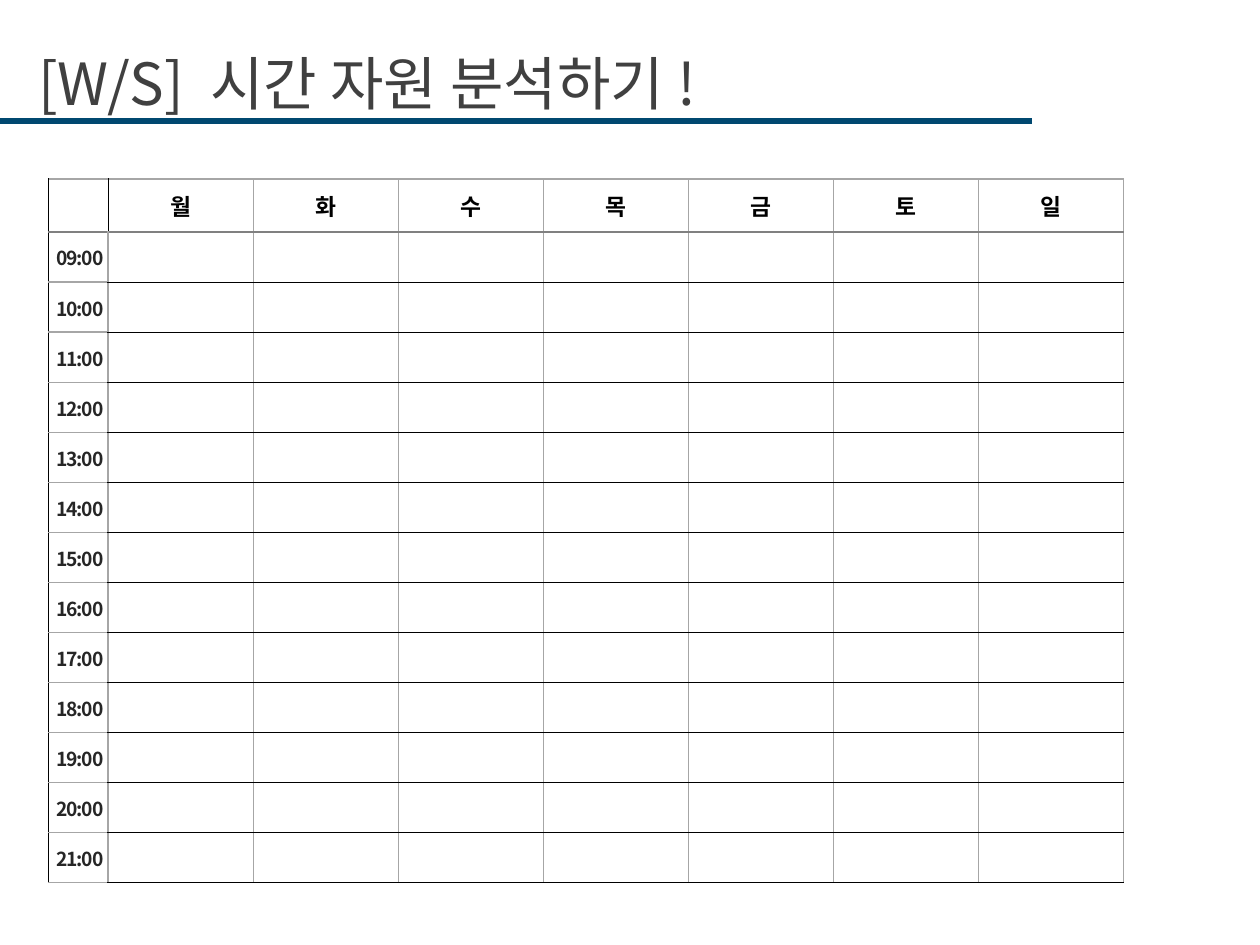
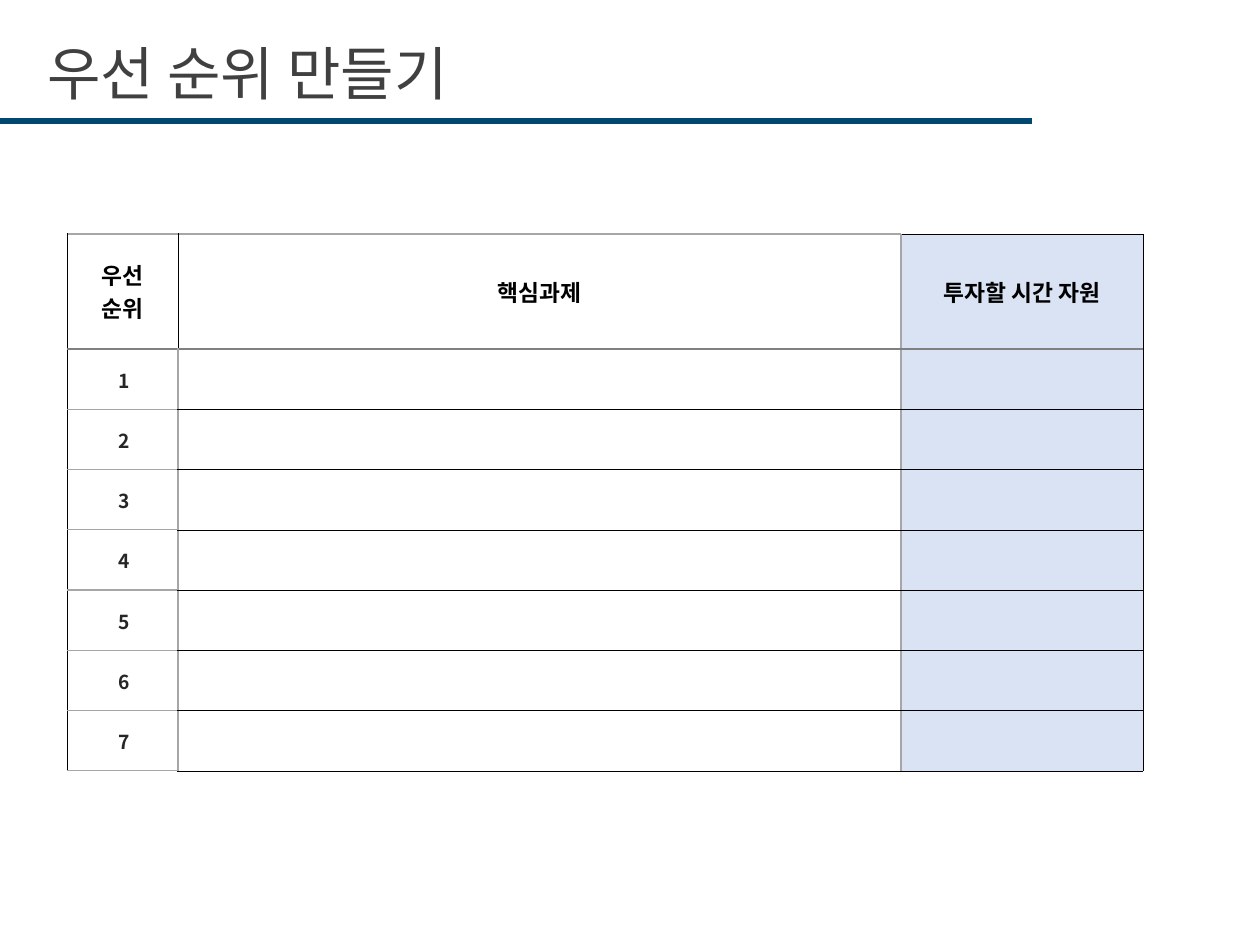
"""Build two time-management worksheets: a weekly timetable and a priority list."""
from lxml import etree
from pptx import Presentation
from pptx.dml.color import RGBColor
from pptx.enum.shapes import MSO_CONNECTOR
from pptx.enum.text import MSO_ANCHOR, PP_ALIGN
from pptx.oxml.ns import qn
from pptx.util import Pt

STRAIGHT = MSO_CONNECTOR.STRAIGHT
MIDDLE = MSO_ANCHOR.MIDDLE
CENTER = PP_ALIGN.CENTER
PX = 914400 / 126
FONT = "Noto Sans CJK KR"
COLORS = {
    "rule": "004870", "title": "404040", "heading": "000000", "label": "262626",
    "heading_outline": "FFFFFF", "label_outline": "222A35", "accent": "DAE3F3",
    "black": "000000", "grey": "A6A6A6", "dark_grey": "808080",
}
BORDERS = {"black": 0.25, "grey": 0.75, "dark_grey": 1.5}
TITLE_FORMAT = {"size": Pt(33.2), "name": FONT}
HEADING_FORMAT = {"size": Pt(13), "name": FONT, "bold": True}
LABEL_FORMAT = {"size": Pt(11), "name": FONT, "bold": True}
HEADING_MARGINS = {"margin_left": 0, "margin_top": 0, "margin_right": 0, "margin_bottom": 0}
LABEL_MARGINS = {"margin_left": 5, "margin_top": 1, "margin_right": 1, "margin_bottom": 0}

WORKSHEETS = [
    {
        "title": [("[W/S]", 0), (" ", 750), ("시간 자원 분석하기 !", 0)],
        "title_at": (26, 45),
        "table_at": (48, 179),
        "headings": ["", *"월화수목금토일"],
        "labels": [f"{hour:02}:00" for hour in range(9, 22)],
        "widths": [60] + [1016 / 7] * 7,
        "header_height": 53,
        "body_height": 651,
        "accent_column": None,
    },
    {
        "title": [("우선 순위 만들기", 0)],
        "title_at": (35, 35),
        "table_at": (67, 234),
        "headings": ["우선\n순위", "핵심과제", "투자할 시간 자원"],
        "labels": [str(rank) for rank in range(1, 8)],
        "widths": [111, 723, 242],
        "header_height": 115,
        "body_height": 422,
        "accent_column": 2,
    },
]


def style_span(span, formats, color, spacing=0, outline=None):
    """Format one run, including its East Asian font, spacing and outline."""
    for name, value in formats.items():
        setattr(span.font, name, value)
    span.font.color.rgb = RGBColor.from_string(COLORS[color])
    properties = span.font._element
    etree.SubElement(properties, qn("a:ea"), typeface=FONT)
    if spacing:
        properties.set("spc", str(spacing))
    if outline:
        line = etree.Element(qn("a:ln"), w=str(Pt(0.75)))
        fill = etree.SubElement(line, qn("a:solidFill"))
        tint = etree.SubElement(fill, qn("a:srgbClr"), val=COLORS[outline])
        etree.SubElement(tint, qn("a:alpha"), val="20000")
        properties.insert(0, line)


def set_borders(cell, left, right, top, bottom):
    """Draw the four sides of a cell with named border styles."""
    properties = cell._tc.get_or_add_tcPr()
    for index, (side, style) in enumerate(zip("LRTB", (left, right, top, bottom))):
        line = etree.Element(qn(f"a:ln{side}"), w=str(Pt(BORDERS[style])))
        fill = etree.SubElement(line, qn("a:solidFill"))
        etree.SubElement(fill, qn("a:srgbClr"), val=COLORS[style])
        properties.insert(index, line)


deck = Presentation()
deck.slide_width = round(1260 * PX)
deck.slide_height = round(945 * PX)

for sheet in WORKSHEETS:
    page = deck.slides.add_slide(deck.slide_layouts[6])

    rule = page.shapes.add_connector(STRAIGHT, 0, round(121 * PX), round(1032 * PX), round(121 * PX))
    rule.line.color.rgb = RGBColor.from_string(COLORS["rule"])
    rule.line.width = Pt(3)
    etree.SubElement(rule._element.spPr, qn("a:effectLst"))

    left, top = sheet["title_at"]
    box = page.shapes.add_textbox(*(round(length * PX) for length in (left, top, 1095, 84)))
    box.text_frame.word_wrap = True
    box.text_frame.vertical_anchor = MIDDLE
    para = box.text_frame.paragraphs[0]
    para.line_spacing = 0.9
    for text, spacing in sheet["title"]:
        span = para.add_run()
        span.text = text
        style_span(span, TITLE_FORMAT, "title", spacing)

    headings, labels, widths = sheet["headings"], sheet["labels"], sheet["widths"]
    heights = [sheet["header_height"]] + [sheet["body_height"] / len(labels)] * len(labels)
    left, top = sheet["table_at"]
    bounds = (left, top, sum(widths), sum(heights))
    table = page.shapes.add_table(
        len(heights), len(widths), *(round(length * PX) for length in bounds)
    ).table
    table.first_row = False
    table.horz_banding = False
    for column, width in zip(table.columns, widths):
        column.width = round(width * PX)
    for row, height in zip(table.rows, heights):
        row.height = round(height * PX)

    last = len(widths) - 1
    for r in range(len(heights)):
        for c in range(len(widths)):
            cell = table.cell(r, c)
            accented = c == sheet["accent_column"]
            is_label = r > 0 and c == 0
            cell.vertical_anchor = MIDDLE
            for name, value in (LABEL_MARGINS if is_label else HEADING_MARGINS).items():
                setattr(cell, name, round(value * PX))
            if accented:
                cell.fill.solid()
                cell.fill.fore_color.rgb = RGBColor.from_string(COLORS["accent"])
            else:
                cell.fill.background()

            row_line = "grey" if c == 0 else "black"
            edge_lines = ["black", "black" if r == 0 else "grey"] + ["grey"] * (last - 1)
            edge_lines.append("black" if sheet["accent_column"] == last else "grey")
            top_line = ("black" if accented else "grey") if r == 0 else "dark_grey" if r == 1 else row_line
            bottom_line = "dark_grey" if r == 0 else row_line
            set_borders(cell, edge_lines[c], edge_lines[c + 1], top_line, bottom_line)

            text = headings[c] if r == 0 else labels[r - 1] if is_label else ""
            if not text:
                continue
            cell.text = text
            for para in cell.text_frame.paragraphs:
                para.alignment = CENTER
                if is_label:
                    style_span(para.runs[0], LABEL_FORMAT, "label", -70, "label_outline")
                else:
                    style_span(para.runs[0], HEADING_FORMAT, "heading", 0, "heading_outline")

deck.save("out.pptx")
